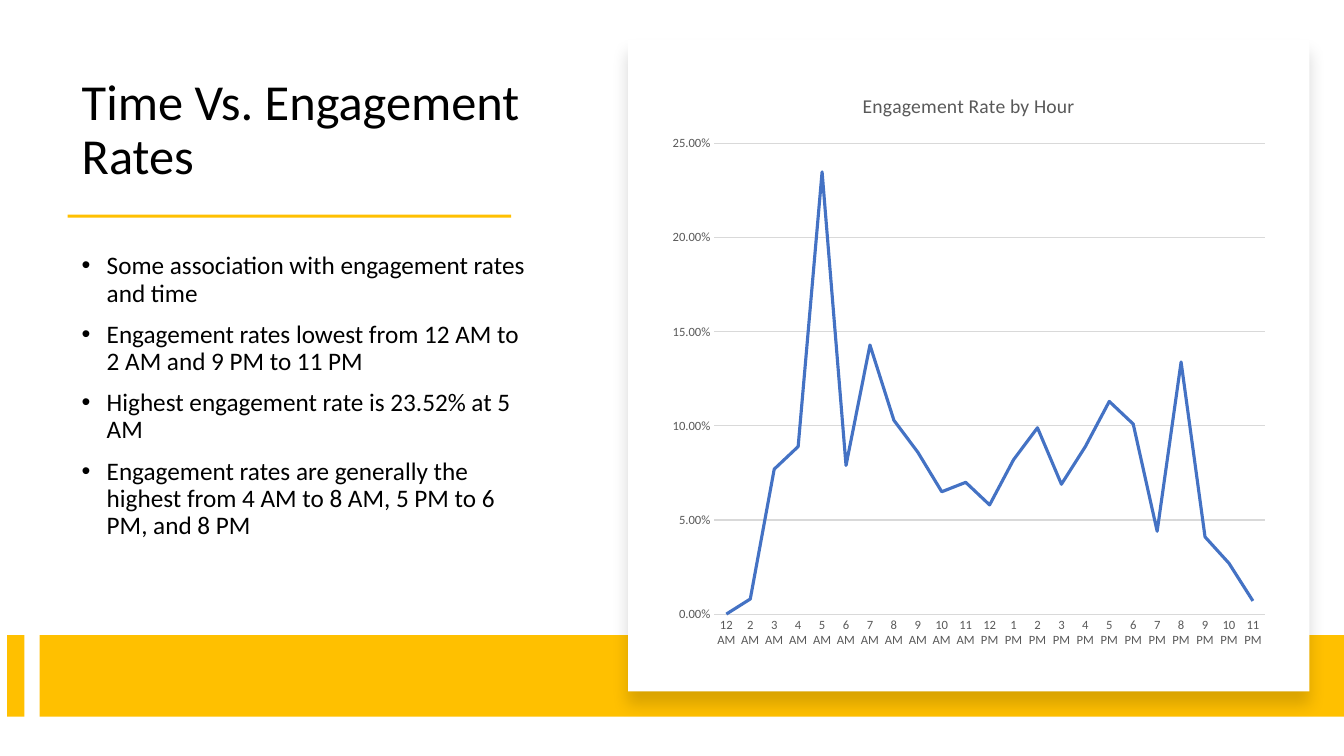
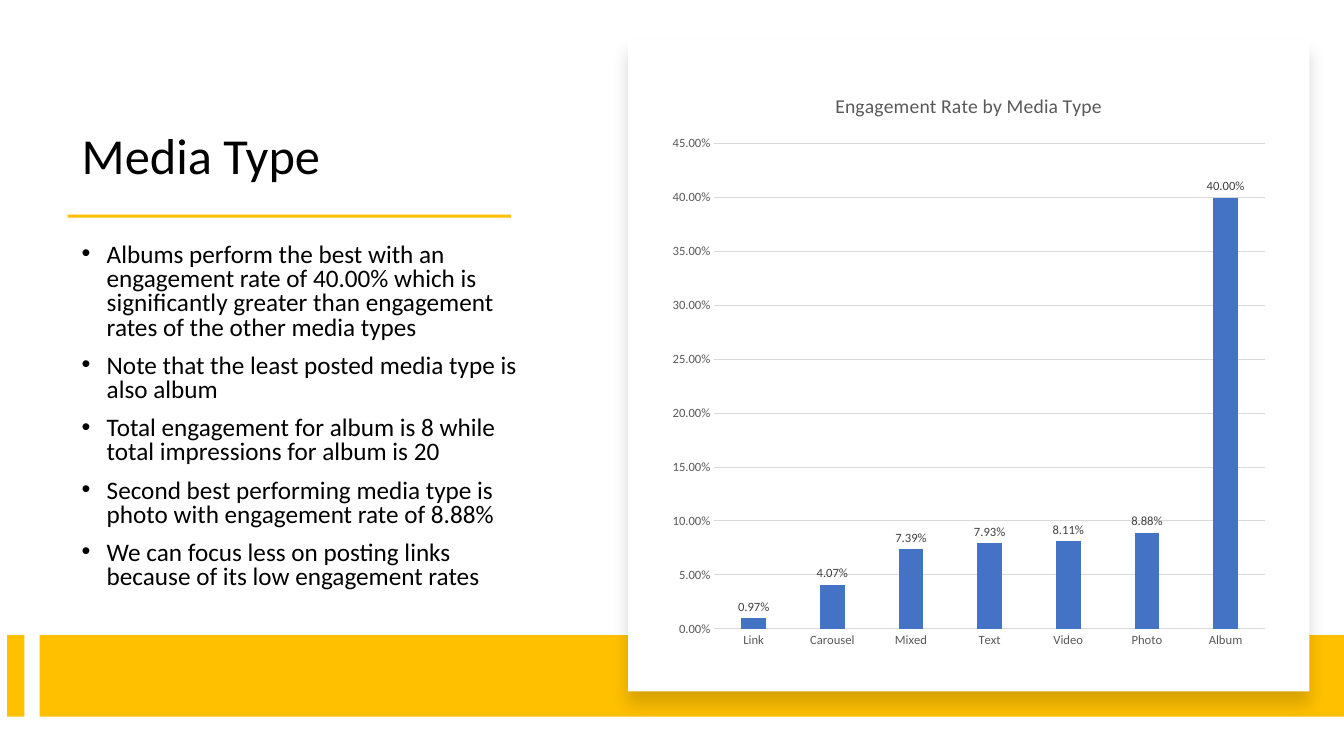
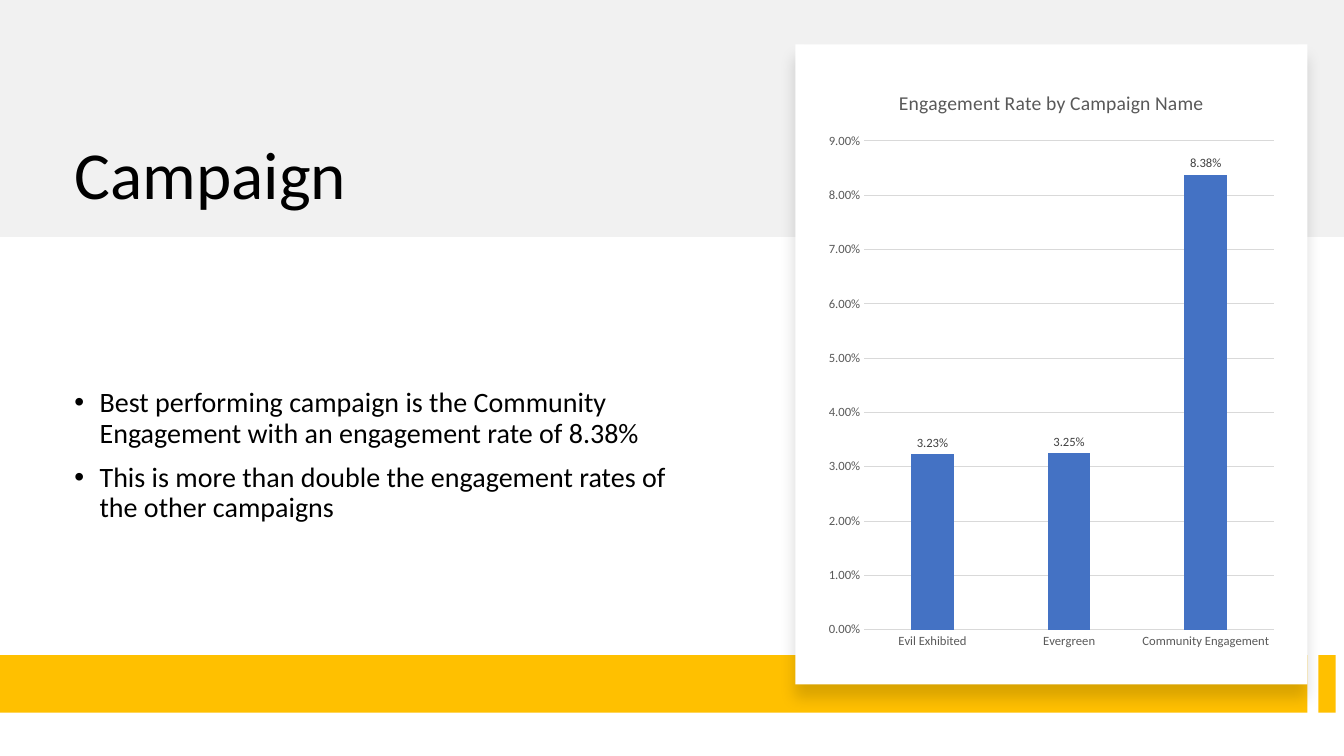
from pptx import Presentation
from pptx.chart.data import CategoryChartData
from pptx.dml.color import RGBColor
from pptx.enum.chart import XL_CHART_TYPE, XL_LABEL_POSITION, XL_TICK_MARK
from pptx.enum.shapes import MSO_SHAPE
from pptx.enum.text import MSO_ANCHOR, MSO_AUTO_SIZE, PP_ALIGN
from pptx.oxml.ns import qn
from pptx.util import Inches, Pt
from lxml import etree

LINE, COLUMN = XL_CHART_TYPE.LINE, XL_CHART_TYPE.COLUMN_CLUSTERED
NO_TICK = XL_TICK_MARK.NONE
LABEL_OUTSIDE = XL_LABEL_POSITION.OUTSIDE_END
RECTANGLE = MSO_SHAPE.RECTANGLE
BOTTOM, MIDDLE = MSO_ANCHOR.BOTTOM, MSO_ANCHOR.MIDDLE
LEFT = PP_ALIGN.LEFT
NO_AUTOFIT = MSO_AUTO_SIZE.NONE

WIDTH, HEIGHT = Inches(13.33), Inches(7.5)
FONT = "Calibri"
PERCENT = "0.00%"
COLORS = {
    "ink": "000000",
    "paper": "FFFFFF",
    "accent": "FFC000",
    "header": "D9D9D9",
    "grid": "D9D9D9",
    "axis": "595959",
    "label": "404040",
    "series": "4472C4",
}

# Boxes are left, top, width, height in percent of the slide.
SPLIT = {
    "title": (5.33, 7.73, 35.1, 17.47),
    "title_size": 36,
    "body": (5.33, 29.6, 35.1, 51.2),
    "body_size": 18,
    "bars": [(0.53, 84, 1.28, 10.8), (2.96, 84, 97.04, 10.8),
             (5.03, 28.4, 33, 0.4)],
    "panel": (46.73, 5.2, 50.7, 86.27),
    "inset": Inches(0.32),
}
SPLIT_SHORT_BODY = {**SPLIT, "body": (5.33, 29.6, 35.1, 45.7)}
HEADED = {
    "header": (0, 0, 100, 31.33),
    "title": (4.8, 5.07, 47.93, 23.87),
    "title_size": 48,
    "body": (4.8, 38.27, 47.85, 44.13),
    "body_size": 20,
    "bars": [(0, 86.67, 97.28, 7.6), (98.1, 86.67, 1.28, 7.6)],
    "panel": (59.18, 5.87, 38.1, 84.67),
    "inset": Inches(0.24),
}

HOURS = [f"{hour} {half}" for half in ("AM", "PM") for hour in (12, *range(1, 12))]
HOURS.remove("1 AM")

SLIDES = [
    {
        "layout": SPLIT_SHORT_BODY,
        "title": "Time Vs. Engagement Rates",
        "spacing": 0.9,
        "points": [
            "Some association with engagement rates and time",
            "Engagement rates lowest from 12 AM to 2 AM and 9 PM to 11 PM",
            "Highest engagement rate is 23.52% at 5 AM",
            "Engagement rates are generally the highest from 4 AM to 8 AM, "
            "5 PM to 6 PM, and 8 PM",
        ],
        "chart": {
            "kind": LINE,
            "title": "Engagement Rate by Hour",
            "categories": HOURS,
            "values": [0, 0.008, 0.077, 0.089, 0.235, 0.079, 0.143, 0.103,
                       0.086, 0.065, 0.07, 0.058, 0.082, 0.099, 0.069, 0.089,
                       0.113, 0.101, 0.044, 0.134, 0.041, 0.027, 0.007],
            "maximum": 0.25,
            "step": 0.05,
        },
    },
    {
        "layout": SPLIT,
        "title": "Media Type",
        "spacing": 0.8,
        "points": [
            "Albums perform the best with an engagement rate of 40.00% which is "
            "significantly greater than engagement rates of the other media types",
            "Note that the least posted media type is also album",
            "Total engagement for album is 8 while total impressions for album is 20",
            "Second best performing media type is photo with engagement rate of 8.88%",
            "We can focus less on posting links because of its low engagement rates",
        ],
        "chart": {
            "kind": COLUMN,
            "title": "Engagement Rate by Media Type",
            "categories": ["Link", "Carousel", "Mixed", "Text", "Video",
                           "Photo", "Album"],
            "values": [0.0097, 0.0407, 0.0739, 0.0793, 0.0811, 0.0888, 0.4],
            "maximum": 0.45,
            "step": 0.05,
        },
    },
    {
        "layout": HEADED,
        "title": "Campaign",
        "spacing": 0.9,
        "points": [
            "Best performing campaign is the Community Engagement with an "
            "engagement rate of 8.38%",
            "This is more than double the engagement rates of the other campaigns",
        ],
        "chart": {
            "kind": COLUMN,
            "title": "Engagement Rate by Campaign Name",
            "categories": ["Evil Exhibited", "Evergreen", "Community Engagement"],
            "values": [0.0323, 0.0325, 0.0838],
            "maximum": 0.09,
            "step": 0.01,
        },
    },
]


def rgb(name):
    return RGBColor.from_string(COLORS[name])


def place(box):
    """Turn percentages of the slide into lengths."""
    return [round(share * side / 100)
            for share, side in zip(box, (WIDTH, HEIGHT, WIDTH, HEIGHT))]


def set_all(target, values):
    for attribute, value in values.items():
        setattr(target, attribute, value)


def style_font(font, size, color):
    set_all(font, {"name": FONT, "size": Pt(size), "bold": False})
    font.color.rgb = rgb(color)


def style_line(line, color, width):
    line.color.rgb = rgb(color)
    line.width = Pt(width)


def add_block(slide, box, color):
    block = slide.shapes.add_shape(RECTANGLE, *place(box))
    block.shadow.inherit = False
    block.fill.solid()
    block.fill.fore_color.rgb = rgb(color)
    block.line.fill.background()
    return block


def add_header(slide, box):
    """Translucent band behind everything else."""
    header = add_block(slide, box, "header")
    tint = header._element.spPr.find(qn("a:solidFill")).find(qn("a:srgbClr"))
    etree.SubElement(tint, qn("a:alpha"), val="35000")
    slide.shapes._spTree.insert(2, header._element)


def add_panel(slide, box):
    """White card with a soft shadow below it."""
    panel = add_block(slide, box, "paper")
    effects = panel._element.spPr.find(qn("a:effectLst"))
    shadow = etree.SubElement(
        effects, qn("a:outerShdw"), blurRad=str(Pt(11)), dist=str(Pt(10)),
        dir="5400000", algn="t", rotWithShape="0")
    tint = etree.SubElement(shadow, qn("a:srgbClr"), val=COLORS["ink"])
    etree.SubElement(tint, qn("a:alpha"), val="15000")
    return panel


def fill_title(slide, text, box, size):
    title = slide.shapes.title
    set_all(title, dict(zip(("left", "top", "width", "height"), place(box))))
    frame = title.text_frame
    frame.text = text
    set_all(frame, {"word_wrap": True, "auto_size": NO_AUTOFIT,
                    "vertical_anchor": BOTTOM})
    heading = frame.paragraphs[0]
    set_all(heading, {"alignment": LEFT, "line_spacing": 0.9})
    style_font(heading.runs[0].font, size, "ink")


def add_points(slide, points, box, size, spacing):
    frame = slide.shapes.add_textbox(*place(box)).text_frame
    set_all(frame, {"word_wrap": True, "vertical_anchor": MIDDLE})
    frame.text = "\n".join(points)
    indent = Inches(0.25)
    for point in frame.paragraphs:
        set_all(point, {"line_spacing": spacing, "space_before": Pt(10)})
        style_font(point.runs[0].font, size, "ink")
        properties = point._p.get_or_add_pPr()
        properties.set("marL", str(indent))
        properties.set("indent", str(-indent))
        etree.SubElement(properties, qn("a:buFont"), typeface="Arial")
        etree.SubElement(properties, qn("a:buChar"), char="•")


def style_axes(chart, maximum, step):
    rates, categories = chart.value_axis, chart.category_axis
    for axis in (rates, categories):
        set_all(axis, {"major_tick_mark": NO_TICK, "minor_tick_mark": NO_TICK})
        style_font(axis.tick_labels.font, 9, "axis")
    set_all(rates, {"minimum_scale": 0, "maximum_scale": maximum,
                    "major_unit": step, "has_major_gridlines": True})
    set_all(rates.tick_labels, {"number_format": PERCENT,
                                "number_format_is_linked": False})
    rates.format.line.fill.background()
    style_line(rates.major_gridlines.format.line, "grid", 0.75)
    style_line(categories.format.line, "grid", 0.75)


def style_columns(plot):
    set_all(plot, {"gap_width": 219, "overlap": -27, "has_data_labels": True})
    series = plot.series[0]
    series.format.fill.solid()
    series.format.fill.fore_color.rgb = rgb("series")
    labels = plot.data_labels
    set_all(labels, {"show_value": True, "position": LABEL_OUTSIDE,
                     "number_format": PERCENT, "number_format_is_linked": False})
    style_font(labels.font, 9, "label")


def add_rate_chart(slide, panel, inset, content):
    data = CategoryChartData(number_format=PERCENT)
    data.categories = content["categories"]
    data.add_series("Engagement Rate", content["values"])
    chart = slide.shapes.add_chart(
        content["kind"], panel.left + inset, panel.top + inset,
        panel.width - 2 * inset, panel.height - 2 * inset, data).chart
    style_font(chart.font, 10, "ink")
    set_all(chart, {"has_legend": False, "has_title": True})
    chart.chart_title.include_in_layout = False
    heading = chart.chart_title.text_frame
    heading.text = content["title"]
    style_font(heading.paragraphs[0].runs[0].font, 14, "axis")
    style_axes(chart, content["maximum"], content["step"])
    plot = chart.plots[0]
    plot.vary_by_categories = False
    if content["kind"] == LINE:
        plot.series[0].smooth = False
        style_line(plot.series[0].format.line, "series", 2.25)
    else:
        style_columns(plot)


def build_slide(deck, content):
    layout = content["layout"]
    slide = deck.slides.add_slide(deck.slide_layouts.get_by_name("Title Only"))
    if "header" in layout:
        add_header(slide, layout["header"])
    fill_title(slide, content["title"], layout["title"], layout["title_size"])
    add_points(slide, content["points"], layout["body"], layout["body_size"],
               content["spacing"])
    for bar in layout["bars"]:
        add_block(slide, bar, "accent")
    panel = add_panel(slide, layout["panel"])
    add_rate_chart(slide, panel, layout["inset"], content["chart"])


def main():
    deck = Presentation()
    set_all(deck, {"slide_width": WIDTH, "slide_height": HEIGHT})
    for content in SLIDES:
        build_slide(deck, content)
    deck.save("out.pptx")


if __name__ == "__main__":
    main()
